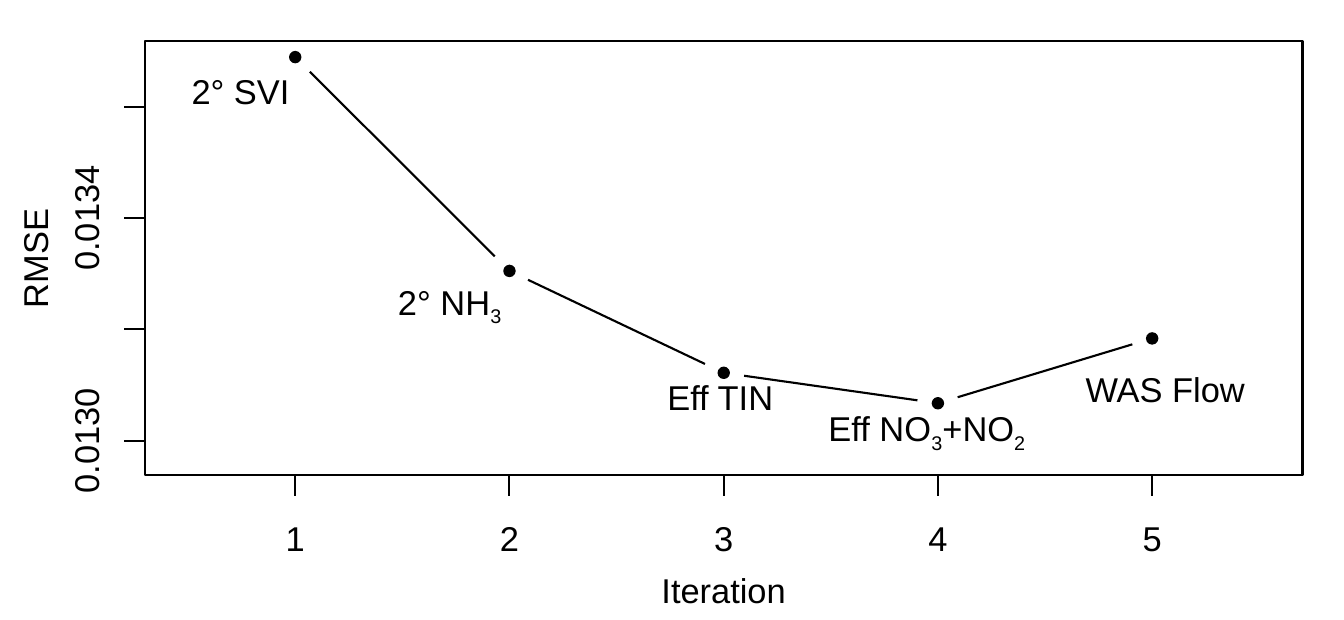
from dataclasses import dataclass
from math import hypot

from lxml.etree import SubElement
from pptx import Presentation
from pptx.dml.color import RGBColor
from pptx.enum.shapes import MSO_CONNECTOR as Conn, MSO_SHAPE as Shape
from pptx.enum.text import MSO_ANCHOR as Anchor, MSO_AUTO_SIZE as AutoSize, PP_ALIGN as Align
from pptx.oxml.ns import qn
from pptx.util import Pt

INK = "000000"
LINE_WIDTH = 0.75
LEFT, TOP, WIDTH, HEIGHT = 50.4, 14.4, 403.2, 151.2
RIGHT, BOTTOM = LEFT + WIDTH, TOP + HEIGHT
FIRST_X, STEP_X = 102.8, 74.6
FIRST_Y, STEP_Y = 153.5, 38.75
TICK = 7.2
GAP = 7.2
DOT = 3.6
TEXT_HEIGHT = 14

FRAME_FORMAT = dict(margin_left=0, margin_top=0, margin_right=0, margin_bottom=0,
                    word_wrap=True, auto_size=AutoSize.NONE, vertical_anchor=Anchor.TOP)
FONT_FORMAT = dict(name="Arial", size=Pt(12), bold=False)


@dataclass
class Iteration:
    """One measured point; digits after "_" in the label are subscripts."""
    y: float
    label: str
    label_left: float
    label_top: float
    label_width: float


ITERATIONS = [
    Iteration(19.9, "2° SVI", 66.7, 24.3, 44),
    Iteration(94.4, "2° NH_3", 138.6, 97.8, 50),
    Iteration(129.9, "Eff TIN", 232.4, 131.2, 50),
    Iteration(140.5, "Eff NO_3+NO_2", 288.5, 142, 80),
    Iteration(117.9, "WAS Flow", 378, 128.4, 60),
]


def color(hex_value: str) -> RGBColor:
    """Turn a hex string into a colour."""
    return RGBColor.from_string(hex_value)


def add_line(s, x1: float, y1: float, x2: float, y2: float) -> None:
    """Draw a thin straight line without a shadow."""
    c = s.shapes.add_connector(Conn.STRAIGHT, Pt(x1), Pt(y1), Pt(x2), Pt(y2))
    c.line.color.rgb = color(INK)
    c.line.width = Pt(LINE_WIDTH)
    SubElement(c._element.spPr, qn("a:effectLst"))


def add_outline(s, kind, left: float, top: float, width: float, height: float,
                filled: bool) -> None:
    """Draw an outlined preset shape, filled or empty."""
    sp = s.shapes.add_shape(kind, Pt(left), Pt(top), Pt(width), Pt(height))
    sp.shadow.inherit = False
    sp.line.color.rgb = color(INK)
    sp.line.width = Pt(LINE_WIDTH)
    if filled:
        sp.fill.solid()
        sp.fill.fore_color.rgb = color(INK)
    else:
        sp.fill.background()


def write(sp, text: str, align=Align.LEFT, vertical: bool = False) -> None:
    """Fill a text shape with one formatted line."""
    tf = sp.text_frame
    for key, value in FRAME_FORMAT.items():
        setattr(tf, key, value)
    if vertical:
        tf._txBody.bodyPr.set("vert", "vert270")
    p = tf.paragraphs[0]
    p.alignment = align
    head, *parts = text.split("_")
    pieces = [(head, False)]
    for part in parts:
        pieces += [(part[0], True), (part[1:], False)]
    for piece, subscript in pieces:
        if not piece:
            continue
        r = p.add_run()
        r.text = piece
        r.font.color.rgb = color(INK)
        for key, value in FONT_FORMAT.items():
            setattr(r.font, key, value)
        if subscript:
            r.font._element.set("baseline", "-25000")


def add_centered(s, text: str, x: float, top: float, width: float) -> None:
    """Write a line centred on x."""
    sp = s.shapes.add_textbox(Pt(x - width / 2), Pt(top), Pt(width), Pt(TEXT_HEIGHT))
    write(sp, text, Align.CENTER)


def add_upright(s, text: str, left: float, y: float) -> None:
    """Write a line turned to read upwards, centred on y."""
    length = 50
    sp = s.shapes.add_textbox(Pt(left), Pt(y - length / 2), Pt(TEXT_HEIGHT), Pt(length))
    write(sp, text, Align.CENTER, vertical=True)


def add_axes(s, xs: list[float], ys: list[float]) -> None:
    """Draw the plot frame, both axes and their titles."""
    add_outline(s, Shape.RECTANGLE, LEFT, TOP, WIDTH, HEIGHT, False)
    add_line(s, LEFT, ys[0], LEFT, ys[-1])
    add_line(s, xs[0], BOTTOM, xs[-1], BOTTOM)
    for y in ys:
        add_line(s, LEFT, y, LEFT - TICK, y)
    for number, x in enumerate(xs, 1):
        add_line(s, x, BOTTOM, x, BOTTOM + TICK)
        add_centered(s, str(number), x, 180.3, 12)
    for text, y in zip(("0.0130", "0.0134"), ys[::2]):
        add_upright(s, text, 22.6, y)
    add_upright(s, "RMSE", 4.8, TOP + HEIGHT / 2)
    add_centered(s, "Iteration", LEFT + WIDTH / 2, 198.4, 60)


def add_series(s, xs: list[float]) -> None:
    """Draw the dots, and lines that stop short of them."""
    points = [(x, it.y) for x, it in zip(xs, ITERATIONS)]
    for (x1, y1), (x2, y2) in zip(points, points[1:]):
        length = hypot(x2 - x1, y2 - y1)
        dx, dy = GAP * (x2 - x1) / length, GAP * (y2 - y1) / length
        add_line(s, x1 + dx, y1 + dy, x2 - dx, y2 - dy)
    for x, y in points:
        add_outline(s, Shape.OVAL, x - DOT / 2, y - DOT / 2, DOT, DOT, True)


def add_labels(s) -> None:
    """Name each point; the first name is the slide title."""
    for i, it in enumerate(ITERATIONS):
        sp = s.shapes.title if i == 0 else s.shapes.add_textbox(0, 0, 0, 0)
        sp.left, sp.top = Pt(it.label_left), Pt(it.label_top)
        sp.width, sp.height = Pt(it.label_width), Pt(TEXT_HEIGHT)
        write(sp, it.label)


prs = Presentation()
prs.slide_width, prs.slide_height = Pt(468), Pt(216)
s = prs.slides.add_slide(prs.slide_layouts[5])
xs = [FIRST_X + STEP_X * i for i in range(len(ITERATIONS))]
ys = [FIRST_Y - STEP_Y * i for i in range(4)]
add_axes(s, xs, ys)
add_series(s, xs)
add_labels(s)
prs.save("out.pptx")
